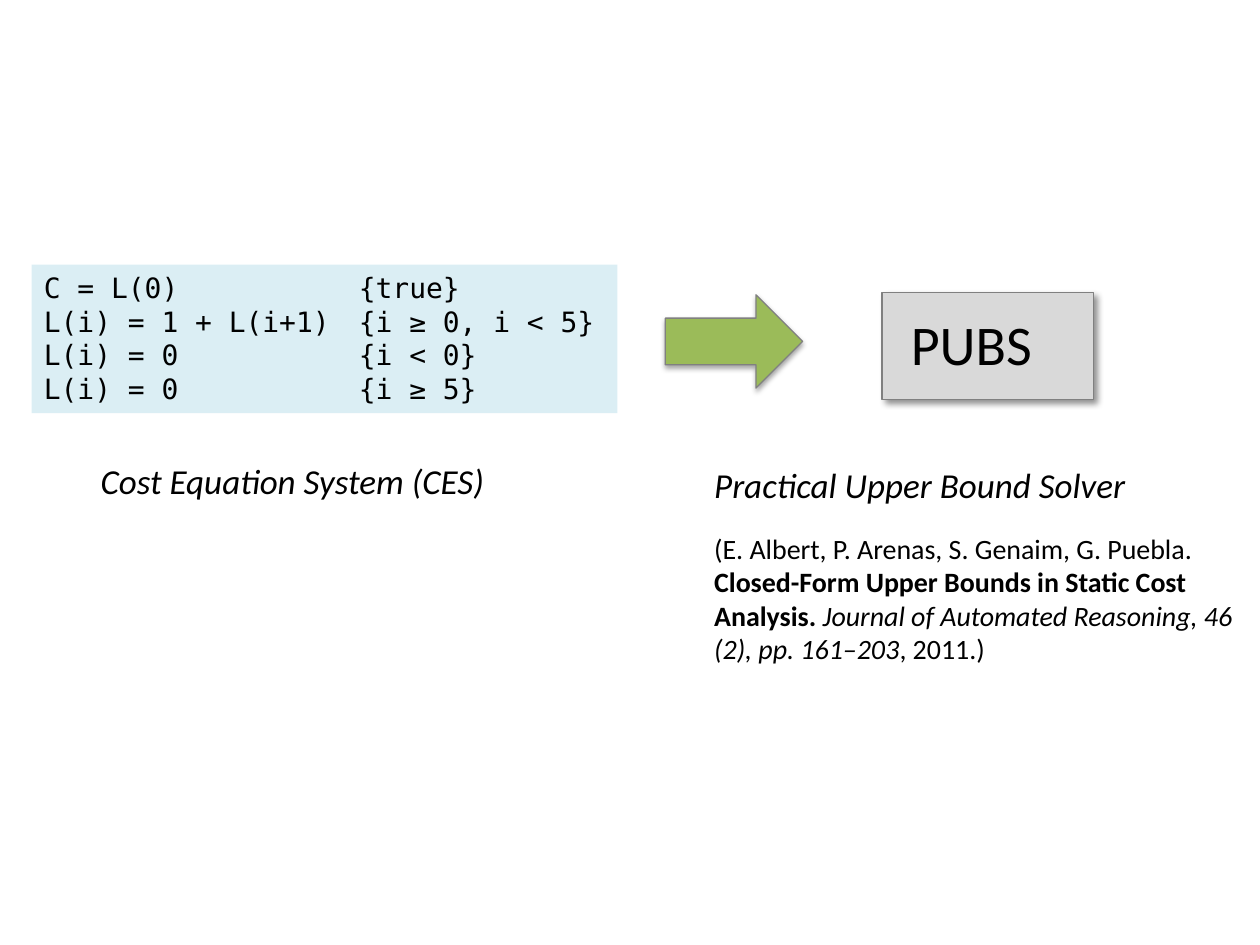
from dataclasses import dataclass

from lxml.etree import SubElement
from pptx import Presentation
from pptx.dml.color import RGBColor
from pptx.enum.shapes import MSO_SHAPE as Form
from pptx.enum.text import MSO_ANCHOR as Anchor, PP_ALIGN as Align
from pptx.oxml.ns import qn
from pptx.util import Emu, Inches, Pt

# Slide grid: 100 columns by 75 rows, each a tenth of an inch
CELL = Inches(0.1)
COLS, ROWS = 100, 75

BLACK = RGBColor(0x00, 0x00, 0x00)
GRAY = RGBColor(0x80, 0x80, 0x80)
SILVER = RGBColor(0xD9, 0xD9, 0xD9)
GREEN = RGBColor(0x9B, 0xBB, 0x59)
PALE = RGBColor(0xDB, 0xEE, 0xF4)

SANS, MONO = "Calibri", "DejaVu Sans Mono"


@dataclass
class Area:
    col: float
    row: float
    wide: float
    high: float

    def emu(self) -> list[Emu]:
        return [Emu(round(n * CELL))
                for n in (self.col, self.row, self.wide, self.high)]


@dataclass
class Shade:
    blur: float
    dist: float
    angle: int
    alpha: int


@dataclass
class Span:
    text: str
    size: int
    font: str = SANS
    bold: bool = False
    slant: bool = False


@dataclass
class Block:
    area: Area
    form: Form
    fill: RGBColor
    shade: Shade | None = None


@dataclass
class Note:
    area: Area
    lines: list[list[Span]]
    wrap: bool = True
    gap: float = 0


def cast(shape, shade: Shade) -> None:
    """Add an outer shadow to the shape's effect list."""
    effects = shape._element.spPr.find(qn("a:effectLst"))
    outer = SubElement(effects, qn("a:outerShdw"), {
        "blurRad": str(Pt(shade.blur)), "dist": str(Pt(shade.dist)),
        "dir": str(shade.angle * 60000), "rotWithShape": "0"})
    color = SubElement(outer, qn("a:srgbClr"), val=str(BLACK))
    SubElement(color, qn("a:alpha"), val=str(shade.alpha * 1000))


def draw(slide, block: Block):
    shape = slide.shapes.add_shape(block.form, *block.area.emu())
    shape.fill.solid()
    shape.fill.fore_color.rgb = block.fill
    if block.shade:
        shape.line.color.rgb = GRAY
        shape.line.width = Pt(0.75)
    else:
        shape.line.fill.background()
    shape.shadow.inherit = False
    if block.shade:
        cast(shape, block.shade)
    return shape


def write(frame, lines: list[list[Span]], gap: float = 0) -> None:
    """Fill the frame, one paragraph a line, with a gap between them."""
    for i, line in enumerate(lines):
        para = frame.add_paragraph() if i else frame.paragraphs[0]
        para.alignment = Align.LEFT
        para.space_before = Pt(gap if i else 0)
        for span in line:
            run = para.add_run()
            run.text = span.text
            font = run.font
            font.name, font.size = span.font, Pt(span.size)
            font.bold, font.italic = span.bold, span.slant
            font.color.rgb = BLACK


def label(slide, note: Note) -> None:
    frame = slide.shapes.add_textbox(*note.area.emu()).text_frame
    frame.word_wrap = note.wrap
    write(frame, note.lines, note.gap)


def stop(frame, cols: float) -> None:
    """Set one tab stop in every paragraph."""
    for para in frame.paragraphs:
        tabs = SubElement(para._p.get_or_add_pPr(), qn("a:tabLst"))
        SubElement(tabs, qn("a:tab"), pos=str(round(cols * CELL)), algn="l")


CODE = Block(Area(2.5, 21, 46.5, 11.8), Form.RECTANGLE, PALE)
ARROW = Block(Area(52.8, 23.4, 10.9, 7.4), Form.RIGHT_ARROW, GREEN,
              Shade(3.1, 1.8, 90, 35))
SOLVER = Block(Area(70, 23.2, 16.8, 8.5), Form.RECTANGLE, SILVER,
               Shade(4, 3, 45, 43))

RULES = [
    ("C = L(0)", "{true}"),
    ("L(i) = 1 + L(i+1)", "{i ≥ 0, i < 5}"),
    ("L(i) = 0", "{i < 0}"),
    ("L(i) = 0", "{i ≥ 5}"),
]

NOTES = [
    Note(Area(7, 36, 38.9, 4.4),
         [[Span("Cost Equation System (CES)", 20, slant=True)]], wrap=False),
    Note(Area(71.3, 24.1, 15.9, 6.3), [[Span("PUBS", 32)]]),
    Note(Area(55.7, 36.3, 44.3, 26.6), [
        [Span("Practical Upper Bound Solver", 20, slant=True)],
        [Span("(E. Albert, P. Arenas, S. Genaim, G. Puebla. ", 16),
         Span("Closed-Form Upper Bounds in Static Cost Analysis. ", 16,
              bold=True),
         Span("Journal of Automated Reasoning, 46 (2), pp. 161–203", 16,
              slant=True),
         Span(", 2011.)", 16)],
    ], gap=14.6),
]


def main() -> None:
    deck = Presentation()
    deck.slide_width, deck.slide_height = COLS * CELL, ROWS * CELL
    slide = deck.slides.add_slide(deck.slide_layouts[6])

    # Cost equations, with the guards at a tab stop
    frame = draw(slide, CODE).text_frame
    frame.vertical_anchor = Anchor.TOP
    write(frame, [[Span("\t".join(rule), 16, MONO)] for rule in RULES])
    stop(frame, 25)

    # Arrow and solver box
    for block in (ARROW, SOLVER):
        draw(slide, block)

    # Captions and reference
    for note in NOTES:
        label(slide, note)

    deck.save("out.pptx")


if __name__ == "__main__":
    main()
